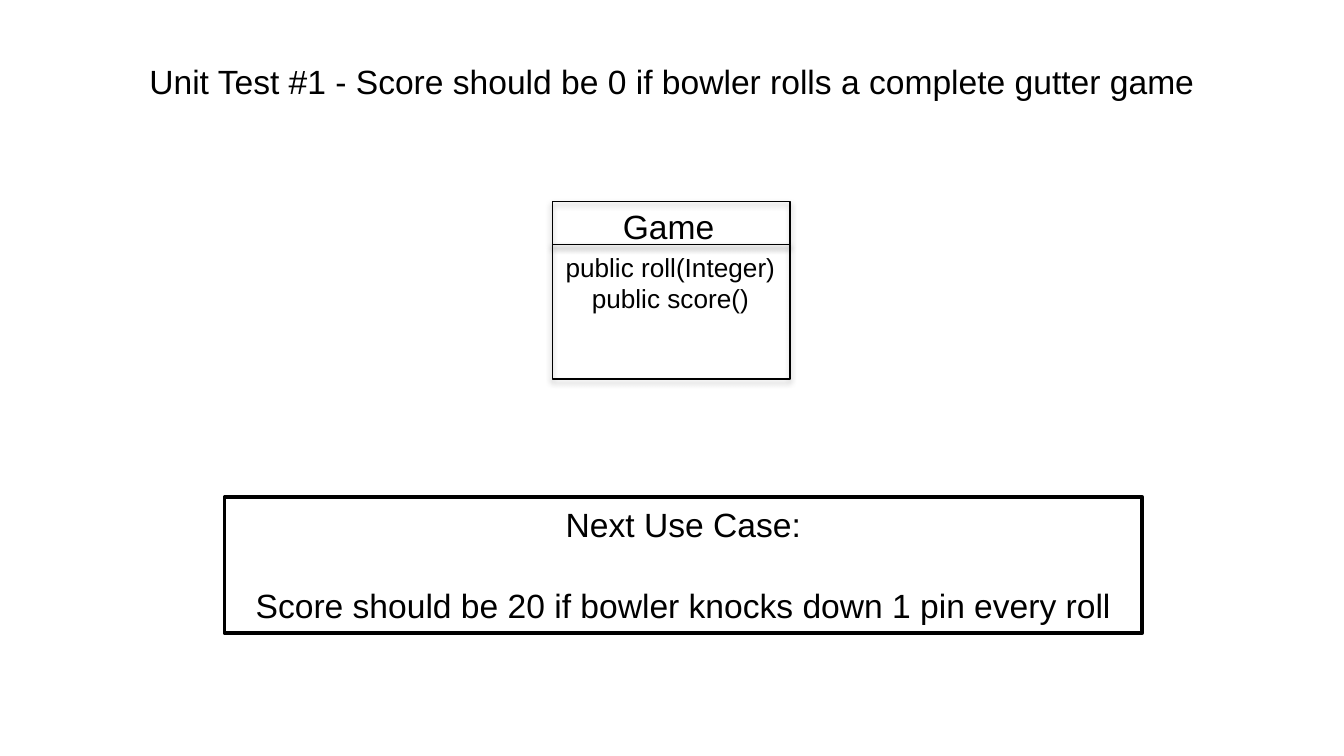
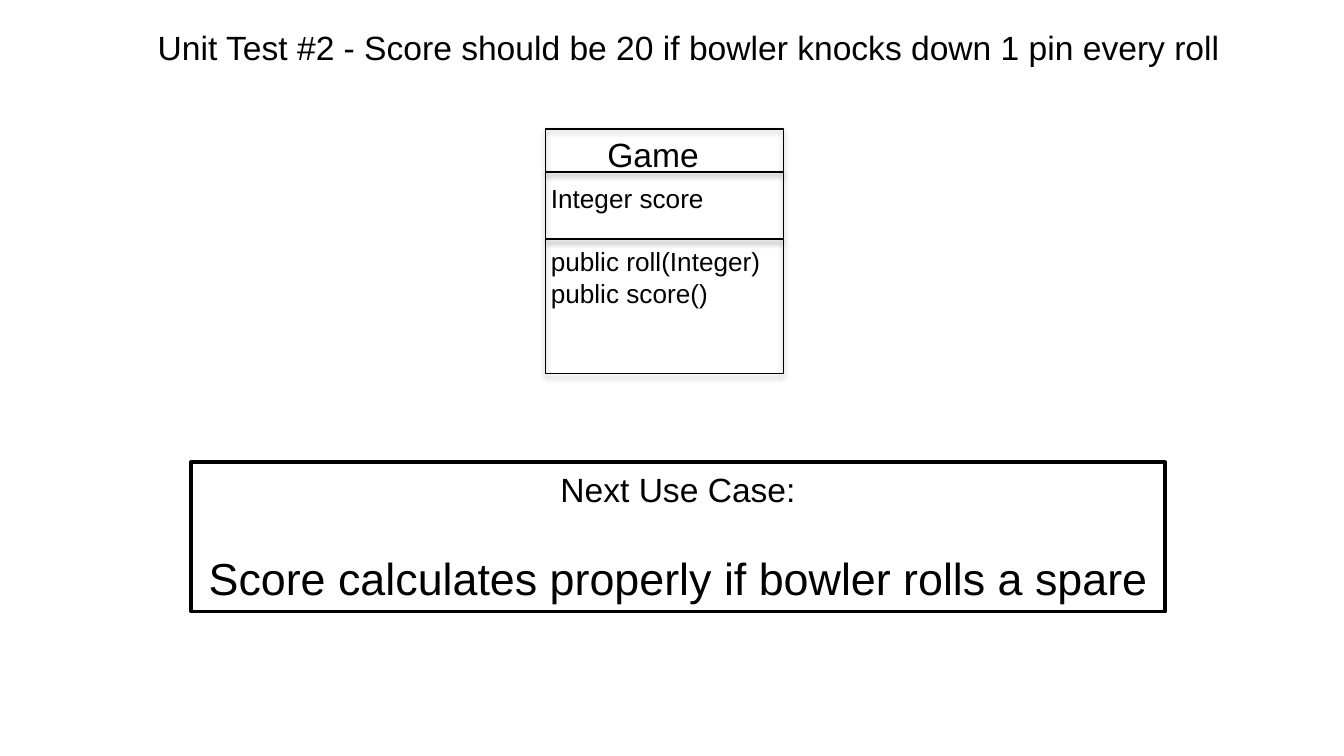
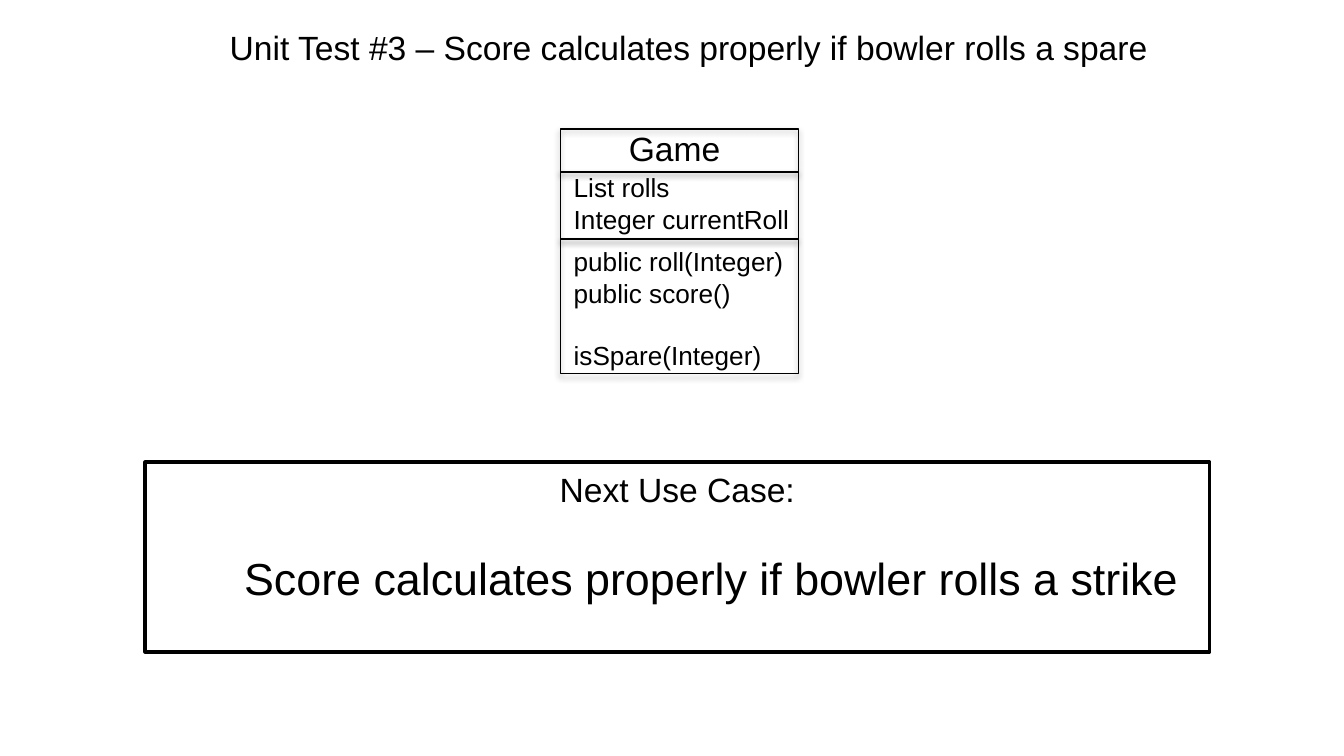
from lxml import etree
from pptx import Presentation
from pptx.dml.color import RGBColor
from pptx.enum.shapes import MSO_SHAPE as Shape
from pptx.enum.text import MSO_ANCHOR as Anchor, MSO_AUTO_SIZE as AutoSize, PP_ALIGN as Align
from pptx.oxml.ns import qn
from pptx.util import Inches, Pt

FONT, INK, PAPER = "Arial", "000000", "FFFFFF"
LEFT, CENTER = Align.LEFT, Align.CENTER
SLIDE_WIDTH = Inches(10)
SLIDE_HEIGHT = SLIDE_WIDTH * 9 // 16
CLASS_WIDTH = 1.77
HEADER, FIELDS, METHODS = 0.32, 0.5, 1.0
TITLE_BOX = (0, 0.15, 9.75, 0.4)


def line(text, size=14, align=LEFT, gap=0, indent=0):
    """Describe one paragraph."""
    return dict(text=text, size=size, align=align, gap=gap, indent=indent)


def next_case(text, size, indent=0):
    """Describe the paragraphs of a next use case box."""
    return [line("Next Use Case:", 18, CENTER), line(text, size, CENTER, 22, indent)]


SLIDES = [
    dict(
        title=line("Unit Test #1 - Score should be 0 if bowler rolls a complete gutter game", 18, CENTER),
        title_box=(0.97, 0.4, 8.06, 0.4),
        class_at=(4.11, 1.5),
        sections=[HEADER, METHODS],
        labels=[
            ((4.53, 1.48, 0.89, 0.4), [line("Game", 18, CENTER)]),
            ((4.11, 1.82, 1.77, 0.57), [line("public roll(Integer)"), line("public score()", align=CENTER)]),
        ],
        next_box=(1.67, 3.7, 6.83, 1.01),
        next_lines=next_case("Score should be 20 if bowler knocks down 1 pin every roll", 18),
    ),
    dict(
        title=line("Unit Test #2 - Score should be 20 if bowler knocks down 1 pin every roll", 18, CENTER, indent=0.5),
        title_box=TITLE_BOX,
        class_at=(4.06, 0.96),
        sections=[HEADER, FIELDS, METHODS],
        labels=[
            ((4.42, 0.95, 0.89, 0.4), [line("Game", 18)]),
            ((4, 1.31, 1.35, 0.34), [line("Integer score")]),
            ((4, 1.78, 1.77, 0.57), [line("public roll(Integer)"), line("public score()")]),
        ],
        next_box=(1.42, 3.44, 7.25, 1.11),
        next_lines=next_case("Score calculates properly if bowler rolls a spare", 24),
    ),
    dict(
        title=line("Unit Test #3 – Score calculates properly if bowler rolls a spare", 18, CENTER, indent=0.5),
        title_box=TITLE_BOX,
        class_at=(4.17, 0.96),
        sections=[HEADER, FIELDS, METHODS],
        labels=[
            ((4.58, 0.9, 0.89, 0.4), [line("Game", 18)]),
            ((4.17, 1.23, 1.82, 0.57), [line("List rolls"), line("Integer currentRoll")]),
            ((4.17, 1.78, 1.77, 1.04), [
                line("public roll(Integer)"),
                line("public score()"),
                line("isSpare(Integer)", gap=16.5),
            ]),
        ],
        next_box=(1.08, 3.44, 7.92, 1.41),
        next_lines=next_case("Score calculates properly if bowler rolls a strike", 24, 0.5),
    ),
]


def color(value):
    """Turn a hex string into a colour."""
    return RGBColor.from_string(value)


def inches(box):
    """Convert a box of numbers to lengths."""
    return [Inches(value) for value in box]


def write(shape, lines, wrap=True):
    """Fill a shape with paragraphs."""
    frame = shape.text_frame
    frame.word_wrap = wrap
    frame.auto_size = AutoSize.NONE if wrap else AutoSize.SHAPE_TO_FIT_TEXT
    frame.vertical_anchor = Anchor.TOP
    for index, item in enumerate(lines):
        paragraph = frame.add_paragraph() if index else frame.paragraphs[0]
        paragraph.alignment = item["align"]
        if item["gap"]:
            paragraph.space_before = Pt(item["gap"])
        if item["indent"]:
            properties = paragraph._p.get_or_add_pPr()
            properties.set("marL", str(Inches(item["indent"])))
            properties.set("indent", "0")
        run = paragraph.add_run()
        run.text = item["text"]
        run.font.name = FONT
        run.font.size = Pt(item["size"])
        run.font.color.rgb = color(INK)


def add_title(slide, box, item):
    """Place and write the slide title."""
    title = slide.shapes.title
    title.left, title.top, title.width, title.height = inches(box)
    write(title, [item])


def add_rectangle(slide, box, width, fill=None):
    """Draw an outlined rectangle."""
    shape = slide.shapes.add_shape(Shape.RECTANGLE, *inches(box))
    shape.shadow.inherit = False
    if fill:
        shape.fill.solid()
        shape.fill.fore_color.rgb = color(fill)
    else:
        shape.fill.background()
    shape.line.color.rgb = color(INK)
    shape.line.width = Pt(width)
    return shape


def add_shadow(shape):
    """Cast a soft shadow straight down."""
    effects = shape._element.spPr.find(qn("a:effectLst"))
    shadow = etree.SubElement(
        effects, qn("a:outerShdw"), blurRad=str(Pt(3.1)), dist=str(Pt(1.8)), dir="5400000", rotWithShape="0"
    )
    tint = etree.SubElement(shadow, qn("a:srgbClr"), val=INK)
    etree.SubElement(tint, qn("a:alpha"), val="35000")


def add_class(slide, position, sections, labels):
    """Stack the sections of a class box and label them."""
    left, top = position
    for height in sections:
        add_shadow(add_rectangle(slide, (left, top, CLASS_WIDTH, height), 0.75))
        top += height
    for box, lines in labels:
        write(slide.shapes.add_textbox(*inches(box)), lines, wrap=False)


def main():
    """Build and save the presentation."""
    presentation = Presentation()
    presentation.slide_width, presentation.slide_height = SLIDE_WIDTH, SLIDE_HEIGHT
    for content in SLIDES:
        slide = presentation.slides.add_slide(presentation.slide_layouts[5])
        add_title(slide, content["title_box"], content["title"])
        add_class(slide, content["class_at"], content["sections"], content["labels"])
        write(add_rectangle(slide, content["next_box"], 2, PAPER), content["next_lines"])
    presentation.save("out.pptx")


if __name__ == "__main__":
    main()
